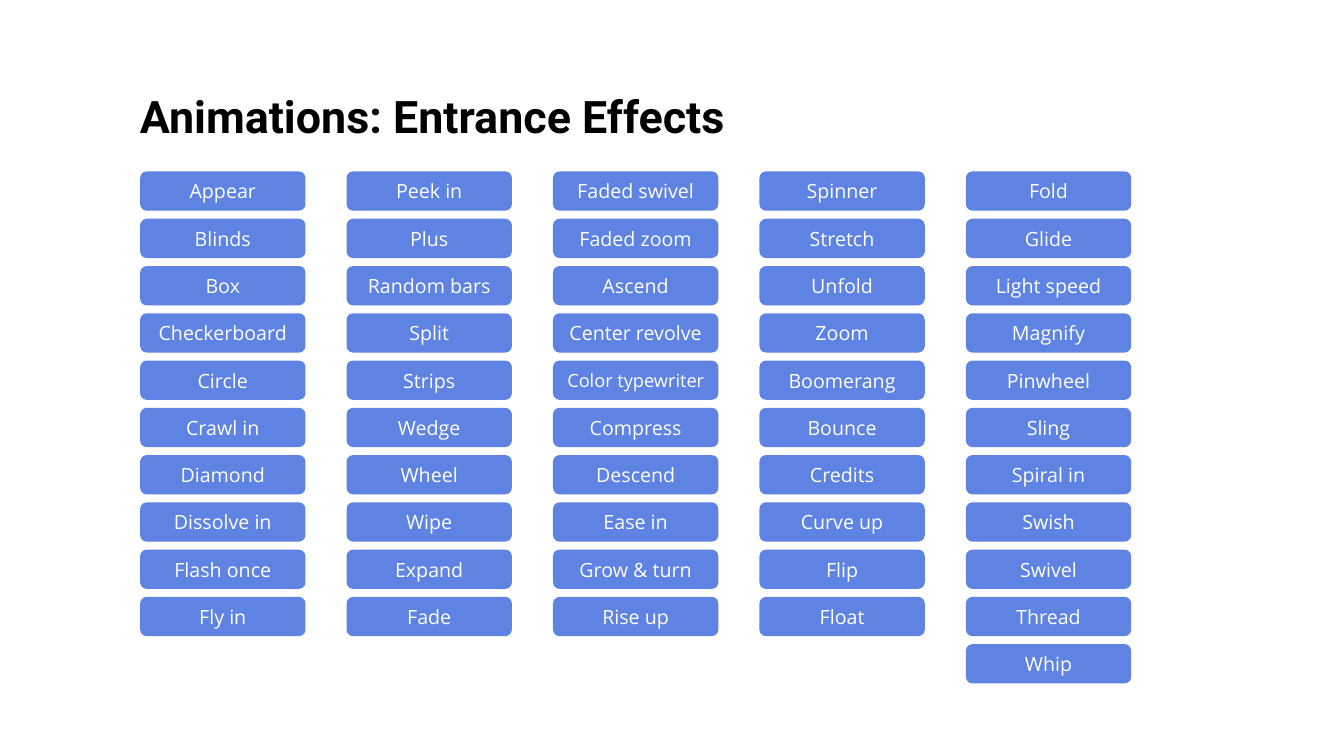
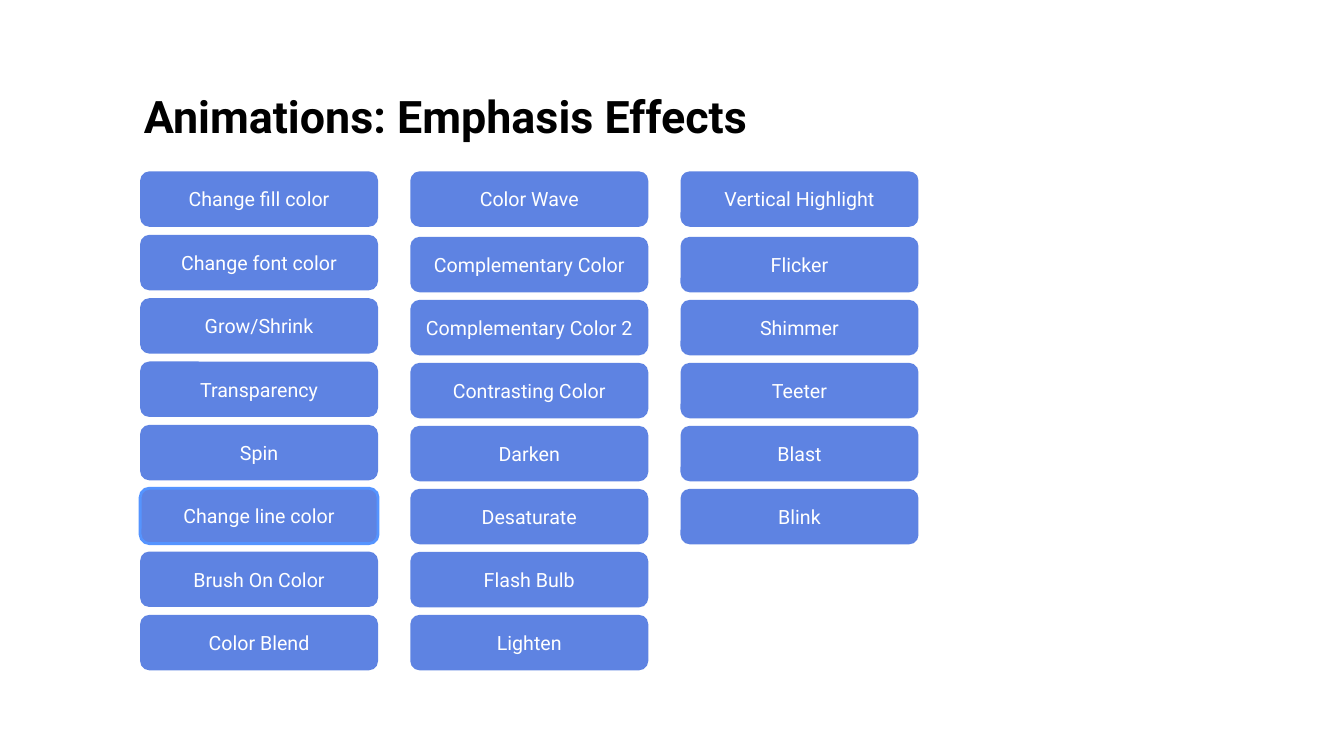
import pptx
import pptx.util
import pptx.dml.color
import pptx.enum.shapes
import pptx.enum.text

Inches = pptx.util.Inches
Pt = pptx.util.Pt
RGBColor = pptx.dml.color.RGBColor

BLUE = RGBColor(0x5E, 0x83, 0xE2)
BRIGHT_BLUE = RGBColor(0x55, 0x94, 0xFF)
WHITE = RGBColor(0xFF, 0xFF, 0xFF)
BLACK = RGBColor(0x00, 0x00, 0x00)

TITLE_FONT = "Roboto"
GRID_LEFT, GRID_TOP = 1.39, 1.7
LABEL_SIZE = 14
SMALL_LABELS = {"Color typewriter": 13}
OUTLINED_LABELS = {"Change line color": BRIGHT_BLUE}

# second_tops holds, per column, the top of the second button; the rows
# below it are spread evenly down to last_top, the top of row number rows.
SLIDES = [
    {
        "title": "Animations: Entrance Effects",
        "title_left": 1.29, "title_width": 9,
        "font": "Open Sans",
        "button": (1.64, 0.39),
        "last_left": 9.58,
        "second_tops": [2.17] * 5, "last_top": 6.39, "rows": 11,
        "columns": [
            ["Appear", "Blinds", "Box", "Checkerboard", "Circle", "Crawl in",
             "Diamond", "Dissolve in", "Flash once", "Fly in"],
            ["Peek in", "Plus", "Random bars", "Split", "Strips", "Wedge",
             "Wheel", "Wipe", "Expand", "Fade"],
            ["Faded swivel", "Faded zoom", "Ascend", "Center revolve",
             "Color typewriter", "Compress", "Descend", "Ease in",
             "Grow & turn", "Rise up"],
            ["Spinner", "Stretch", "Unfold", "Zoom", "Boomerang", "Bounce",
             "Credits", "Curve up", "Flip", "Float"],
            ["Fold", "Glide", "Light speed", "Magnify", "Pinwheel", "Sling",
             "Spiral in", "Swish", "Swivel", "Thread", "Whip"],
        ],
    },
    {
        "title": "Animations: Emphasis Effects",
        "title_left": 1.33, "title_width": 12,
        "font": "Roboto",
        "button": (2.36, 0.55),
        "last_left": 6.75,
        "second_tops": [2.33, 2.35, 2.35], "last_top": 6.1, "rows": 8,
        "columns": [
            ["Change fill color", "Change font color", "Grow/Shrink",
             "Transparency", "Spin", "Change line color", "Brush On Color",
             "Color Blend"],
            ["Color Wave", "Complementary Color", "Complementary Color 2",
             "Contrasting Color", "Darken", "Desaturate", "Flash Bulb",
             "Lighten"],
            ["Vertical Highlight", "Flicker", "Shimmer", "Teeter", "Blast",
             "Blink"],
        ],
    },
]


def write_text(shape, text, font, size, color, align, bold=False):
    frame = shape.text_frame
    frame.word_wrap = True
    frame.vertical_anchor = pptx.enum.text.MSO_ANCHOR.MIDDLE
    para = frame.paragraphs[0]
    para.alignment = align
    span = para.add_run()
    span.text = text
    span.font.name = font
    span.font.size = Pt(size)
    span.font.bold = bold
    span.font.color.rgb = color


def add_title(page, content):
    box = page.shapes.add_textbox(
        Inches(content["title_left"]), Inches(0.52),
        Inches(content["title_width"]), Inches(1.25))
    write_text(box, content["title"], TITLE_FONT, 32, BLACK,
               pptx.enum.text.PP_ALIGN.LEFT, bold=True)


def add_button(page, label, left, top, size, font):
    width, height = size
    button = page.shapes.add_shape(
        pptx.enum.shapes.MSO_SHAPE.ROUNDED_RECTANGLE,
        Inches(left), Inches(top), Inches(width), Inches(height))
    button.shadow.inherit = False
    button.fill.solid()
    button.fill.fore_color.rgb = BLUE
    if label in OUTLINED_LABELS:
        button.line.color.rgb = OUTLINED_LABELS[label]
        button.line.width = Pt(2)
    else:
        button.line.fill.background()
    write_text(button, label, font, SMALL_LABELS.get(label, LABEL_SIZE),
               WHITE, pptx.enum.text.PP_ALIGN.CENTER)


def add_button_grid(page, content):
    columns = content["columns"]
    column_step = (content["last_left"] - GRID_LEFT) / (len(columns) - 1)
    for column, labels in enumerate(columns):
        left = GRID_LEFT + column * column_step
        second_top = content["second_tops"][column]
        row_step = (content["last_top"] - second_top) / (content["rows"] - 2)
        for row, label in enumerate(labels):
            top = second_top + (row - 1) * row_step if row else GRID_TOP
            add_button(page, label, left, top, content["button"],
                       content["font"])


def main():
    deck = pptx.Presentation()
    deck.slide_width = Inches(13.33)
    deck.slide_height = Inches(7.5)
    blank_layout = deck.slide_layouts[6]
    for content in SLIDES:
        page = deck.slides.add_slide(blank_layout)
        add_title(page, content)
        add_button_grid(page, content)
    deck.save("out.pptx")


if __name__ == "__main__":
    main()
